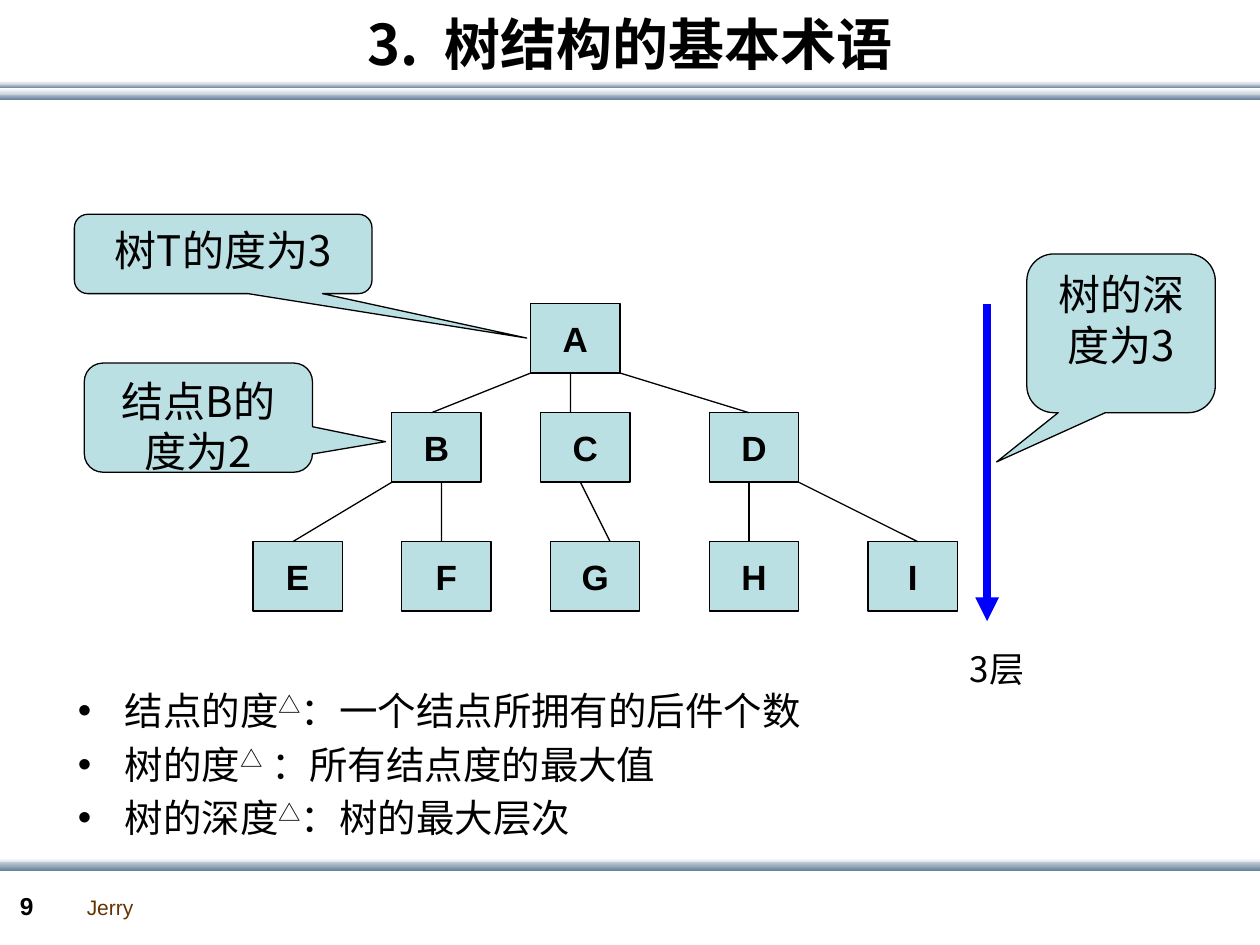
from lxml import etree
from pptx import Presentation
from pptx.dml.color import RGBColor
from pptx.enum.shapes import MSO_CONNECTOR as CONN, MSO_SHAPE as SHAPE
from pptx.enum.text import MSO_ANCHOR as ANCHOR, PP_ALIGN as ALIGN
from pptx.oxml.ns import qn
from pptx.util import Cm, Pt

COLORS = {"ink": "000000", "node": "BBE0E3", "arrow": "0000FF", "author": "663300",
          "white": "FFFFFF", "mist": "C8D1DA", "slate": "6A839C"}
LATIN, CJK_SC, CJK_JP = "Arial", "Noto Sans CJK SC", "Noto Sans CJK JP"
NODE_W, NODE_H = 1.8, 1.4

# Node: left and top within the tree
NODES = {"A": (5.6, 0), "B": (2.8, 2.2), "C": (5.8, 2.2), "D": (9.2, 2.2),
         "E": (0, 4.8), "F": (3, 4.8), "G": (6, 4.8), "H": (9.2, 4.8), "I": (12.4, 4.8)}
# Parent, child, and where the edge meets each of them, from its left side
EDGES = [("A", "B", 0, 0.8), ("A", "C", 0.8, 0.6), ("A", "D", 1.8, 0.8),
         ("B", "E", 0, 0.8), ("B", "F", 1, 0.8), ("C", "G", 0.8, 1.2),
         ("D", "H", 0.8, 0.8), ("D", "I", 1.8, 1)]
TERMS = [("结点的度", "：一个结点所拥有的后件个数"),
         ("树的度", " ：所有结点度的最大值"),
         ("树的深度", "：树的最大层次")]


def rgb(name):
    return RGBColor.from_string(COLORS[name])


def add_run(p, text, size=20, font=CJK_JP, color="ink", bold=False, baseline=0):
    r = p.add_run()
    r.text = text
    r.font.size, r.font.name, r.font.bold = Pt(size), font, bold
    r.font.color.rgb = rgb(color)
    rPr = r.font._element
    etree.SubElement(rPr, qn("a:ea")).set("typeface", font)
    if baseline:
        rPr.set("baseline", str(baseline * 1000))


def set_text(sp, text, align=ALIGN.LEFT, anchor=ANCHOR.TOP, wrap=True, spacing=None, **fmt):
    tf = sp.text_frame
    tf.word_wrap, tf.vertical_anchor = wrap, anchor
    p = tf.paragraphs[0]
    p.alignment = align
    if spacing:
        p.line_spacing = Pt(spacing)
    add_run(p, text, **fmt)


def add_label(s, box, text, **fmt):
    set_text(s.shapes.add_textbox(*map(Cm, box)), text, **fmt)


def add_box(s, kind, box):
    sp = s.shapes.add_shape(kind, *map(Cm, box))
    sp.shadow.inherit = False
    sp.fill.solid()
    sp.fill.fore_color.rgb = rgb("node")
    sp.line.color.rgb = rgb("ink")
    sp.line.width = Pt(0.75)
    return sp


def add_line(s, start, end, color="ink", width=0.75, arrow=False):
    line = s.shapes.add_connector(CONN.STRAIGHT, *map(Cm, (*start, *end)))
    line.line.color.rgb = rgb(color)
    line.line.width = Pt(width)
    if arrow:
        etree.SubElement(line.line._get_or_add_ln(), qn("a:tailEnd")).set("type", "triangle")
    etree.SubElement(line._element.spPr, qn("a:effectLst"))


def add_band(s, top, height, start, end):
    """Full-width strip shaded from its top colour to its bottom colour."""
    sp = s.shapes.add_shape(SHAPE.RECTANGLE, 0, Cm(top), Cm(25.4), Cm(height))
    sp.shadow.inherit = False
    sp.line.fill.background()
    sp.fill.gradient()
    sp.fill.gradient_angle = 270
    for stop, name in zip(sp.fill.gradient_stops, (start, end)):
        stop.color.rgb = rgb(name)


def add_header(s, left, top, width, height):
    for offset, thick, *shades in [(1.88, 0.13, "mist", "slate"), (1.7, 0.08, "mist", "slate"),
                                   (1.78, 0.13, "white", "mist"), (1.63, 0.08, "white", "mist")]:
        add_band(s, top + offset, thick, *shades)
    add_label(s, (left, top, width, height), "3.  树结构的基本术语", size=32, font=CJK_SC,
              bold=True, align=ALIGN.CENTER, anchor=ANCHOR.MIDDLE)


def add_footer(s, left, top):
    add_band(s, top, 0.13, "white", "mist")
    add_band(s, top + 0.07, 0.18, "mist", "slate")
    add_label(s, (left + 1.5, top + 0.6, 1.48, 0.76), "Jerry", size=12, font=LATIN,
              color="author", wrap=False)
    add_label(s, (left + 0.15, top + 0.53, 1.4, 0.85), "9", size=14, font=LATIN, bold=True)


def add_terms(s, left, top, width, height):
    tf = s.shapes.add_textbox(*map(Cm, (left, top, width, height))).text_frame
    tf.word_wrap = True
    for i, (term, meaning) in enumerate(TERMS):
        p = tf.add_paragraph() if i else tf.paragraphs[0]
        p.line_spacing = Pt(26.4)
        if i:
            p.space_before = Pt(4.4)
        pPr = p._p.get_or_add_pPr()
        pPr.set("marL", str(Cm(0.95)))
        pPr.set("indent", str(Cm(-0.95)))
        etree.SubElement(pPr, qn("a:buFont")).set("typeface", LATIN)
        etree.SubElement(pPr, qn("a:buChar")).set("char", "•")
        for text, baseline in ((term, 0), ("△", 30), (meaning, 0)):
            add_run(p, text, size=22, font=CJK_SC, baseline=baseline)


def add_tree(s, left, top):
    for name, (x, y) in NODES.items():
        sp = add_box(s, SHAPE.RECTANGLE, (left + x, top + y, NODE_W, NODE_H))
        set_text(sp, name, font=LATIN, bold=True, wrap=False,
                 align=ALIGN.CENTER, anchor=ANCHOR.MIDDLE)
    for parent, child, out, into in EDGES:
        (px, py), (cx, cy) = NODES[parent], NODES[child]
        add_line(s, (left + px + out, top + py + NODE_H), (left + cx + into, top + cy))


def add_callout(s, box, tip, text):
    """Rounded callout; tip is the pointer's offset from the centre, in box sizes."""
    sp = add_box(s, SHAPE.ROUNDED_RECTANGULAR_CALLOUT, box)
    for i, value in enumerate((*tip, 0.17)):
        sp.adjustments[i] = value
    set_text(sp, text, size=24, spacing=29, align=ALIGN.CENTER)


def add_depth(s, left, top):
    add_line(s, (left, top), (left, top + 6.4), "arrow", 4.5, arrow=True)
    add_label(s, (left - 0.6, top + 6.81, 2, 1.09), "3层", spacing=24)


def main():
    prs = Presentation()
    prs.slide_width, prs.slide_height = Cm(25.4), Cm(19.05)
    s = prs.slides.add_slide(prs.slide_layouts[6])
    add_header(s, 0, 0, 25.4, 1.73)
    add_footer(s, 0, 17.3)
    add_terms(s, 1.32, 13.72, 16.8, 3.99)
    add_tree(s, 5.1, 6.12)
    add_callout(s, (1.7, 7.32, 4.6, 2.2), (0.82, 0.22), "结点B的度为2")
    add_callout(s, (1.5, 4.32, 6, 1.6), (1.02, 1.06), "树T的度为3")
    add_depth(s, 19.9, 6.12)
    add_callout(s, (20.7, 5.12, 3.8, 3.2), (-0.66, 0.81), "树的深度为3")
    prs.save("out.pptx")


if __name__ == "__main__":
    main()
